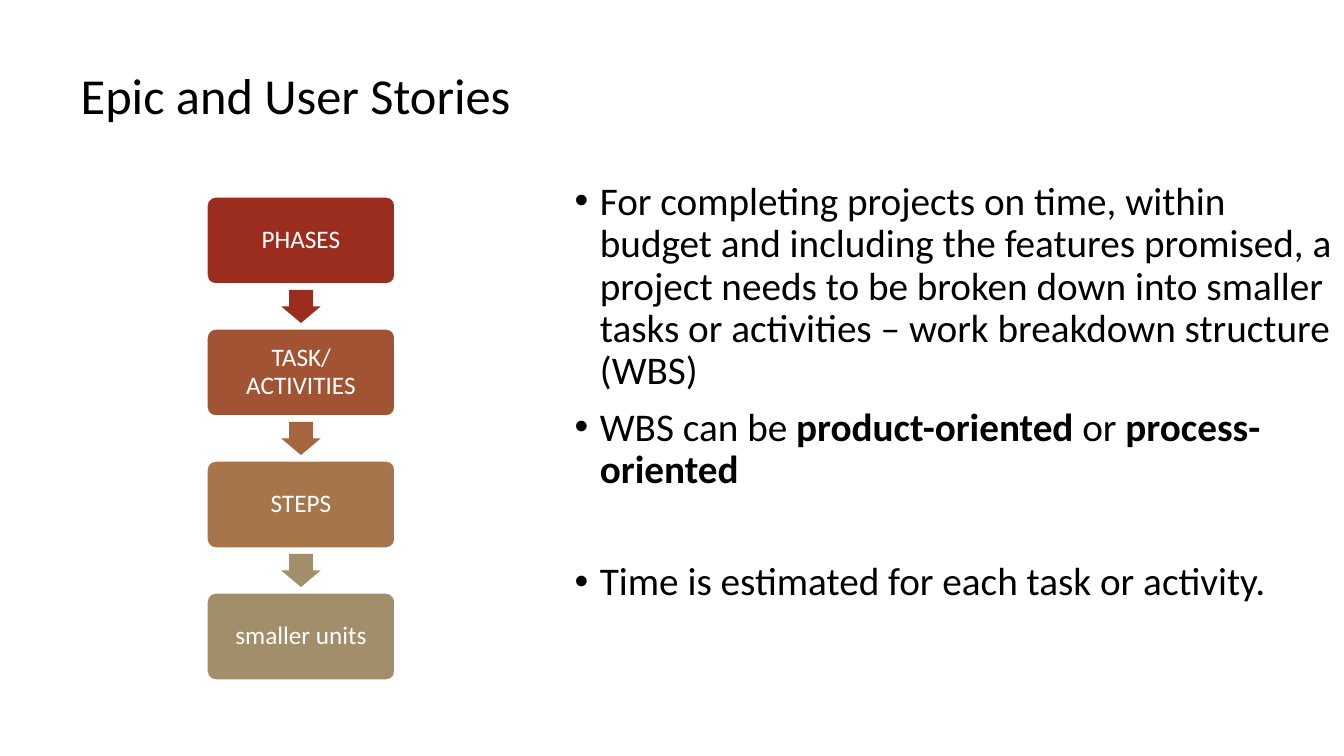
import pptx
import pptx.util
import pptx.dml.color
import pptx.enum.shapes
import pptx.enum.text
import lxml.etree
from dataclasses import dataclass

Inches = pptx.util.Inches
Pt = pptx.util.Pt
Shape = pptx.enum.shapes.MSO_SHAPE
Align = pptx.enum.text.PP_ALIGN
Anchor = pptx.enum.text.MSO_ANCHOR

TITLE = "Epic and User Stories"
BULLETS = [
    (0, [("For completing projects on time, within budget and including the "
          "features promised, a project needs to be broken down into smaller "
          "tasks or activities – work breakdown structure (WBS)", False)]),
    (10, [("WBS can be ", False), ("product-oriented", True),
          (" or ", False), ("process-oriented", True)]),
    (50, [("Time is estimated for each task or activity.", False)]),
]
LEVELS = [
    ("PHASES", "9B2D1F"),
    ("TASK/ACTIVITIES", "A25333"),
    ("STEPS", "A6754B"),
    ("smaller units", "A28E6A"),
]
ARROW_COLORS = ["9B2D1F", "A4653F", "A28E6A"]


@dataclass(frozen=True)
class Theme:
    font: str = "Calibri"
    text: str = "000000"
    light: str = "FFFFFF"
    title_size: int = 36
    body_size: int = 28
    level_size: int = 18
    line_spacing: float = 0.9


THEME = Theme()
LEVEL_LEFT, LEVEL_TOP = 2.05, 1.95
LEVEL_WIDTH, LEVEL_HEIGHT = 1.87, 0.87
LEVEL_PITCH = 1.31
ARROW_LENGTH, ARROW_BREADTH = 0.33, 0.39


def rgb(color):
    return pptx.dml.color.RGBColor.from_string(color)


def place(box, left, top, width, height):
    box.left, box.top = Inches(left), Inches(top)
    box.width, box.height = Inches(width), Inches(height)


def add_span(para, text, size, color, bold=False):
    span = para.add_run()
    span.text = text
    span.font.name = THEME.font
    span.font.size = Pt(size)
    span.font.bold = bold
    span.font.color.rgb = rgb(color)


def set_bullet(para):
    props = para._p.get_or_add_pPr()
    props.set("marL", str(Inches(0.25)))
    props.set("indent", str(-Inches(0.25)))
    bullet = lxml.etree.SubElement(props, pptx.oxml.ns.qn("a:buChar"))
    bullet.set("char", "•")


def add_title(page):
    box = page.shapes.title
    place(box, 0.7, 0.35, 7.54, 1.24)
    box.text_frame.vertical_anchor = Anchor.MIDDLE
    para = box.text_frame.paragraphs[0]
    para.alignment = Align.LEFT
    para.line_spacing = THEME.line_spacing
    add_span(para, TITLE, THEME.title_size, THEME.text)


def add_bullets(page):
    box = page.placeholders[1]
    place(box, 5.6, 1.75, 7.73, 4.95)
    frame = box.text_frame
    frame.auto_size = pptx.enum.text.MSO_AUTO_SIZE.NONE
    for index, (space, spans) in enumerate(BULLETS):
        para = frame.add_paragraph() if index else frame.paragraphs[0]
        set_bullet(para)
        para.line_spacing = THEME.line_spacing
        para.space_before = Pt(space)
        for text, bold in spans:
            add_span(para, text, THEME.body_size, THEME.text, bold)


def add_filled(page, kind, left, top, width, height, color, adjustments):
    shape = page.shapes.add_shape(kind, Inches(left), Inches(top),
                                  Inches(width), Inches(height))
    shape.shadow.inherit = False
    shape.fill.solid()
    shape.fill.fore_color.rgb = rgb(color)
    for index, value in enumerate(adjustments):
        shape.adjustments[index] = value
    return shape


def add_level(page, top, label, color):
    box = add_filled(page, Shape.ROUNDED_RECTANGLE, LEVEL_LEFT, top,
                     LEVEL_WIDTH, LEVEL_HEIGHT, color, [0.1])
    box.line.color.rgb = rgb(THEME.light)
    box.line.width = Pt(1.5)
    frame = box.text_frame
    frame.word_wrap = True
    frame.vertical_anchor = Anchor.MIDDLE
    frame.margin_left = frame.margin_right = Inches(0.09)
    frame.margin_top = frame.margin_bottom = Inches(0.09)
    para = frame.paragraphs[0]
    para.alignment = Align.CENTER
    para.line_spacing = THEME.line_spacing
    add_span(para, label, THEME.level_size, THEME.light)


def add_arrow(page, level_top, color):
    center_x = LEVEL_LEFT + LEVEL_WIDTH / 2
    center_y = level_top + (LEVEL_HEIGHT + LEVEL_PITCH) / 2
    arrow = add_filled(page, Shape.RIGHT_ARROW,
                       center_x - ARROW_LENGTH / 2,
                       center_y - ARROW_BREADTH / 2,
                       ARROW_LENGTH, ARROW_BREADTH, color, [0.6, 0.5])
    arrow.rotation = 90
    arrow.line.fill.background()


def main():
    deck = pptx.Presentation()
    deck.slide_width, deck.slide_height = Inches(13.33), Inches(7.5)
    page = deck.slides.add_slide(deck.slide_layouts[1])
    add_title(page)
    add_bullets(page)
    for index, (label, color) in enumerate(LEVELS):
        top = LEVEL_TOP + index * LEVEL_PITCH
        add_level(page, top, label, color)
        if index < len(ARROW_COLORS):
            add_arrow(page, top, ARROW_COLORS[index])
    deck.save("out.pptx")


if __name__ == "__main__":
    main()
